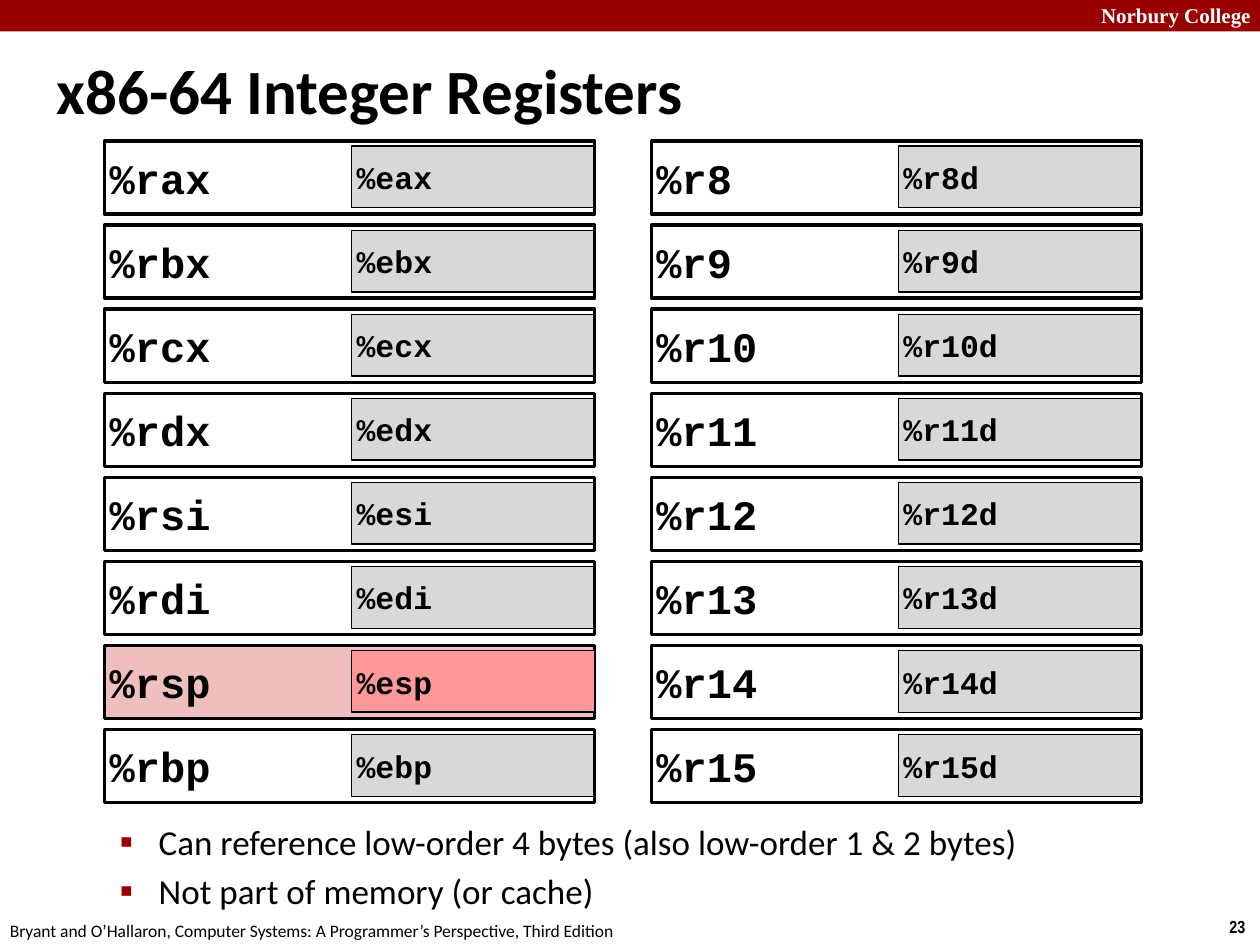
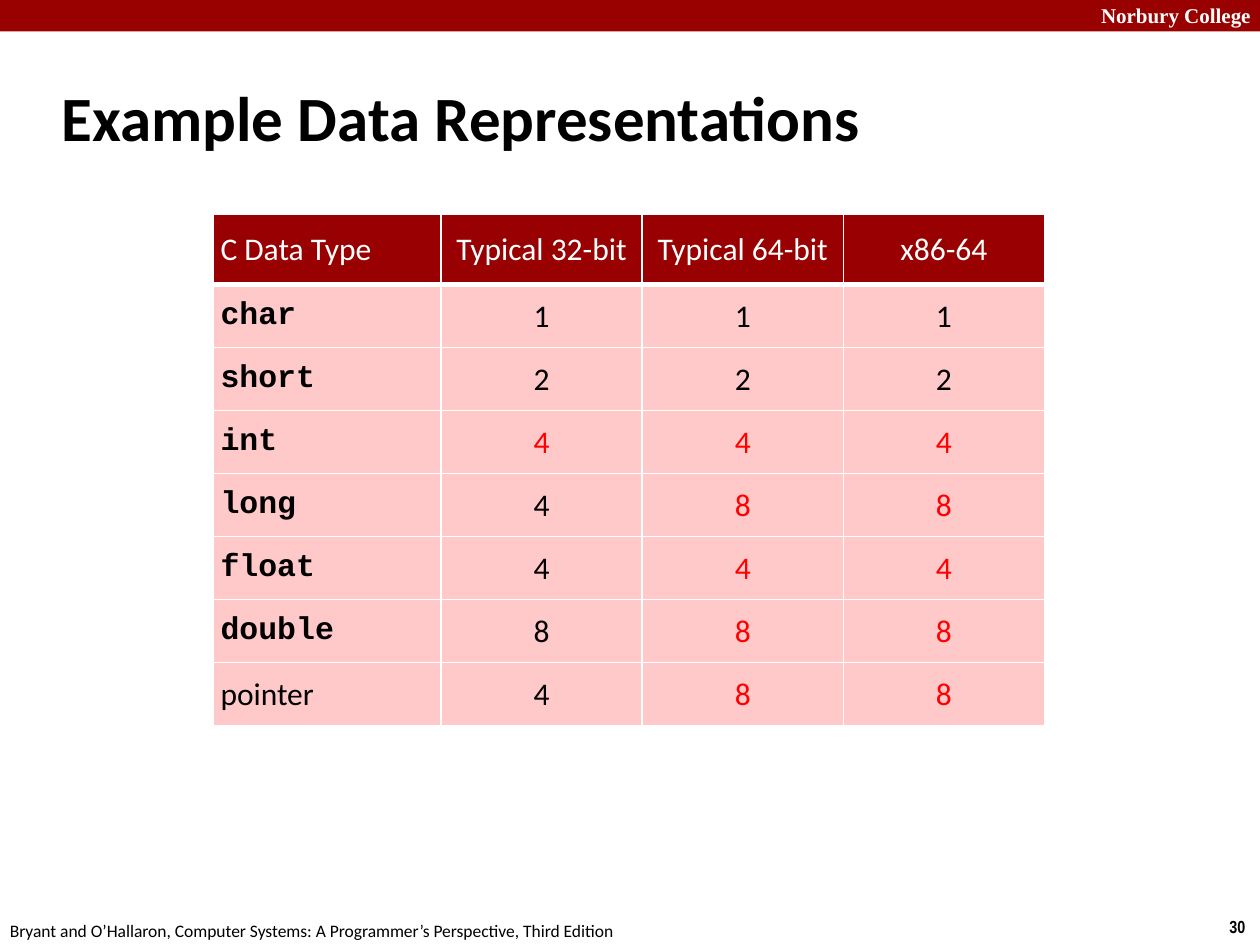
from dataclasses import dataclass, field

from lxml.etree import SubElement
from pptx import Presentation
from pptx.dml.color import RGBColor
from pptx.enum.shapes import MSO_SHAPE
from pptx.enum.text import MSO_ANCHOR, MSO_AUTO_SIZE, PP_ALIGN
from pptx.oxml.ns import qn
from pptx.util import Inches, Pt


def text_style(name, size, color="000000", bold=False):
    return {"name": name, "size": Pt(size), "bold": bold, "color": color}


@dataclass(frozen=True)
class Theme:
    band: str = "990000"
    ink: str = "000000"
    paper: str = "FFFFFF"
    half_fill: str = "D8D8D8"
    stack_fill: str = "EFBFBF"
    stack_half_fill: str = "FF9999"
    header_fill: str = "980002"
    cell_fill: str = "FFC8C9"
    styles: dict = field(default_factory=lambda: {
        "title": text_style("Calibri", 36, bold=True),
        "list": text_style("Calibri", 20),
        "school": text_style("Times New Roman", 12, "FFFFFF", True),
        "number": text_style("Arial Narrow", 10, bold=True),
        "credit": text_style("Calibri", 10),
        "register": text_style("Courier New", 24, bold=True),
        "half": text_style("Courier New", 18, bold=True),
        "header": text_style("Calibri", 18, "FFFFFF"),
        "code": text_style("Courier New", 18, bold=True),
        "value": text_style("Calibri", 18),
        "accent": text_style("Calibri", 18, "FF0000"),
    })


THEME = Theme()

# The page is a grid of 100 columns by 75 rows
PAGE_WIDTH, PAGE_HEIGHT = Inches(10), Inches(7.5)
COLUMN, ROW = PAGE_WIDTH / 100, PAGE_HEIGHT / 75


@dataclass(frozen=True)
class Box:
    """A region, in columns and rows of the page grid."""
    left: float
    top: float
    width: float
    height: float

    def inner(self, left, top, width, height):
        return Box(self.left + left, self.top + top, width, height)

    def emu(self):
        return (round(self.left * COLUMN), round(self.top * ROW),
                round(self.width * COLUMN), round(self.height * ROW))


PAGE = Box(0, 0, 100, 75)

REGISTERS = (
    ("%rax %eax", "%rbx %ebx", "%rcx %ecx", "%rdx %edx",
     "%rsi %esi", "%rdi %edi", "%rsp %esp", "%rbp %ebp"),
    tuple(f"%r{number} %r{number}d" for number in range(8, 16)),
)
STACK_POINTER = "%rsp"
REGISTER_NOTES = (
    "Can reference low-order 4 bytes (also low-order 1 & 2 bytes)",
    "Not part of memory (or cache)",
)

TYPE_HEADERS = ("C Data Type", "Typical 32-bit", "Typical 64-bit", "x86-64")
# Type, sizes in bytes, index of the first highlighted size
TYPE_SIZES = (
    ("char", (1, 1, 1), 3),
    ("short", (2, 2, 2), 3),
    ("int", (4, 4, 4), 0),
    ("long", (4, 8, 8), 1),
    ("float", (4, 4, 4), 1),
    ("double", (8, 8, 8), 1),
    ("pointer", (4, 8, 8), 1),
)


# Shared helpers
def set_values(target, values):
    for name, value in values.items():
        setattr(target, name, value)


def write(para, text, style_name):
    span = para.add_run()
    span.text = text
    style = dict(THEME.styles[style_name])
    span.font.color.rgb = RGBColor.from_string(style.pop("color"))
    set_values(span.font, style)


def move(shape, box):
    set_values(shape, dict(zip(("left", "top", "width", "height"), box.emu())))


def set_margins(target, margin):
    for side in ("left", "top", "right", "bottom"):
        setattr(target, f"margin_{side}", Inches(margin))


def set_indent(para, left, first):
    properties = para._p.get_or_add_pPr()
    properties.set("marL", str(Inches(left)))
    properties.set("indent", str(Inches(first)))
    return properties


def add_rectangle(page, box, fill=None, line=None):
    shape = page.shapes.add_shape(MSO_SHAPE.RECTANGLE, *box.emu())
    shape.shadow.inherit = False
    if fill:
        shape.fill.solid()
        shape.fill.fore_color.rgb = RGBColor.from_string(fill)
    else:
        shape.fill.background()
    if line:
        shape.line.color.rgb = RGBColor.from_string(THEME.ink)
        shape.line.width = Pt(line)
    else:
        shape.line.fill.background()
    return shape


def add_label(page, box, text, style_name, wrap=False):
    label = page.shapes.add_textbox(*box.emu())
    set_values(label.text_frame, {"word_wrap": wrap,
                                  "auto_size": MSO_AUTO_SIZE.SHAPE_TO_FIT_TEXT})
    write(label.text_frame.paragraphs[0], text, style_name)


# Band, footer and title of every slide
def add_frame(page, box, number):
    add_rectangle(page, box.inner(0, 0, box.width, 2.5), THEME.band)
    add_label(page, box.inner(86.4, -0.3, 14.3, 3), "Norbury College", "school", True)
    add_label(page, box.inner(96.6, 72.2, 3.4, 2.7), str(number), "number")
    add_label(page, box.inner(-0.2, 72.5, 50.8, 2.7),
              "Bryant and O’Hallaron, Computer Systems: "
              "A Programmer’s Perspective, Third Edition", "credit")


def fill_title(page, box, text):
    title = page.shapes.title
    move(title, box)
    set_values(title.text_frame, {"vertical_anchor": MSO_ANCHOR.MIDDLE,
                                  "auto_size": MSO_AUTO_SIZE.NONE})
    para = title.text_frame.paragraphs[0]
    para.alignment = PP_ALIGN.LEFT
    set_indent(para, 0.13, -0.13)
    write(para, text, "title")


# Register diagram
def add_register_box(page, box, text, style_name, fill, line):
    shape = add_rectangle(page, box, fill, line)
    set_margins(shape.text_frame, 0.04)
    shape.text_frame.vertical_anchor = MSO_ANCHOR.MIDDLE
    para = shape.text_frame.paragraphs[0]
    para.alignment = PP_ALIGN.LEFT
    write(para, text, style_name)


def add_register(page, box, full_name, half_name):
    is_stack = full_name == STACK_POINTER
    full = (box, full_name, "register", THEME.stack_fill if is_stack else None, 2)
    half = (box.inner(19.6, 0.4, 19.3, 4.9), half_name, "half",
            THEME.stack_half_fill if is_stack else THEME.half_fill,
            1 if is_stack else 0.75)
    # A filled register lies under its half, an open one frames it
    for layer in ((full, half) if is_stack else (half, full)):
        add_register_box(page, *layer)


def add_registers(page, box):
    width, height = 38.9, 5.8
    column_step = box.width - width
    row_step = (box.height - height) / (len(REGISTERS[0]) - 1)
    for column, names in enumerate(REGISTERS):
        for row, pair in enumerate(names):
            place = box.inner(column * column_step, row * row_step, width, height)
            add_register(page, place, *pair.split())


def fill_notes(page, box, notes):
    body = page.placeholders[1]
    move(body, box)
    body.text_frame.auto_size = MSO_AUTO_SIZE.NONE
    for index, note in enumerate(notes):
        para = body.text_frame.add_paragraph() if index else body.text_frame.paragraphs[0]
        para.level = 1
        properties = set_indent(para, 0.81, -0.31)
        color = SubElement(properties, qn("a:buClr"))
        SubElement(color, qn("a:srgbClr"), val=THEME.band)
        SubElement(properties, qn("a:buSzPct"), val="110000")
        SubElement(properties, qn("a:buFont"), typeface="Arial")
        SubElement(properties, qn("a:buChar"), char="▪")
        write(para, note, "list")


# Table of data types
def set_borders(cell, widths):
    properties = cell._tc.get_or_add_tcPr()
    for index, (side, width) in enumerate(widths.items()):
        line = SubElement(properties, qn(f"a:ln{side}"), w=str(Pt(width)))
        fill = SubElement(line, qn("a:solidFill"))
        SubElement(fill, qn("a:srgbClr"), val=THEME.paper)
        properties.remove(line)
        properties.insert(index, line)


def fill_cell(cell, text, style_name, fill, align, borders):
    cell.fill.solid()
    cell.fill.fore_color.rgb = RGBColor.from_string(fill)
    cell.vertical_anchor = MSO_ANCHOR.MIDDLE
    set_margins(cell, 0.06)
    set_borders(cell, borders)
    para = cell.text_frame.paragraphs[0]
    para.alignment = align
    write(para, text, style_name)


def type_row_styles(name, sizes, first_accent):
    yield name, "value" if name == "pointer" else "code"
    for index, size in enumerate(sizes):
        yield str(size), "accent" if index >= first_accent else "value"


def add_type_table(page, box):
    rows = [[(text, "header") for text in TYPE_HEADERS]]
    rows += [list(type_row_styles(*entry)) for entry in TYPE_SIZES]
    table = page.shapes.add_table(len(rows), len(TYPE_HEADERS), *box.emu()).table
    table.horz_banding = False
    first_width, header_height = 18.1, 5.6
    for index, column in enumerate(table.columns):
        share = (box.width - first_width) / (len(TYPE_HEADERS) - 1)
        column.width = round((share if index else first_width) * COLUMN)
    for index, row in enumerate(table.rows):
        share = (box.height - header_height) / len(TYPE_SIZES)
        row.height = round((share if index else header_height) * ROW)
    for row, entries in enumerate(rows):
        borders = {"L": 1, "R": 1, "T": 3 if row == 1 else 1, "B": 1 if row else 3}
        fill = THEME.cell_fill if row else THEME.header_fill
        for column, (text, style_name) in enumerate(entries):
            align = PP_ALIGN.CENTER if column else PP_ALIGN.LEFT
            fill_cell(table.cell(row, column), text, style_name, fill, align, borders)


# Slides
def add_registers_slide(deck, box):
    page = deck.slides.add_slide(deck.slide_layouts.get_by_name("Title and Content"))
    add_frame(page, box, 23)
    fill_title(page, box.inner(3.5, 2.9, 83, 8.3), "x86-64 Integer Registers")
    fill_notes(page, box.inner(3.5, 64.6, 80.2, 9.2), REGISTER_NOTES)
    add_registers(page, box.inner(8.3, 11.2, 82.3, 52.5))


def add_types_slide(deck, box):
    page = deck.slides.add_slide(deck.slide_layouts.get_by_name("Title Only"))
    add_frame(page, box, 30)
    fill_title(page, box.inner(3.9, 5.1, 83, 8.3), "Example Data Representations")
    add_type_table(page, box.inner(16.9, 17, 66, 40.6))


def main():
    deck = Presentation()
    set_values(deck, {"slide_width": PAGE_WIDTH, "slide_height": PAGE_HEIGHT})
    add_registers_slide(deck, PAGE)
    add_types_slide(deck, PAGE)
    deck.save("out.pptx")


if __name__ == "__main__":
    main()
